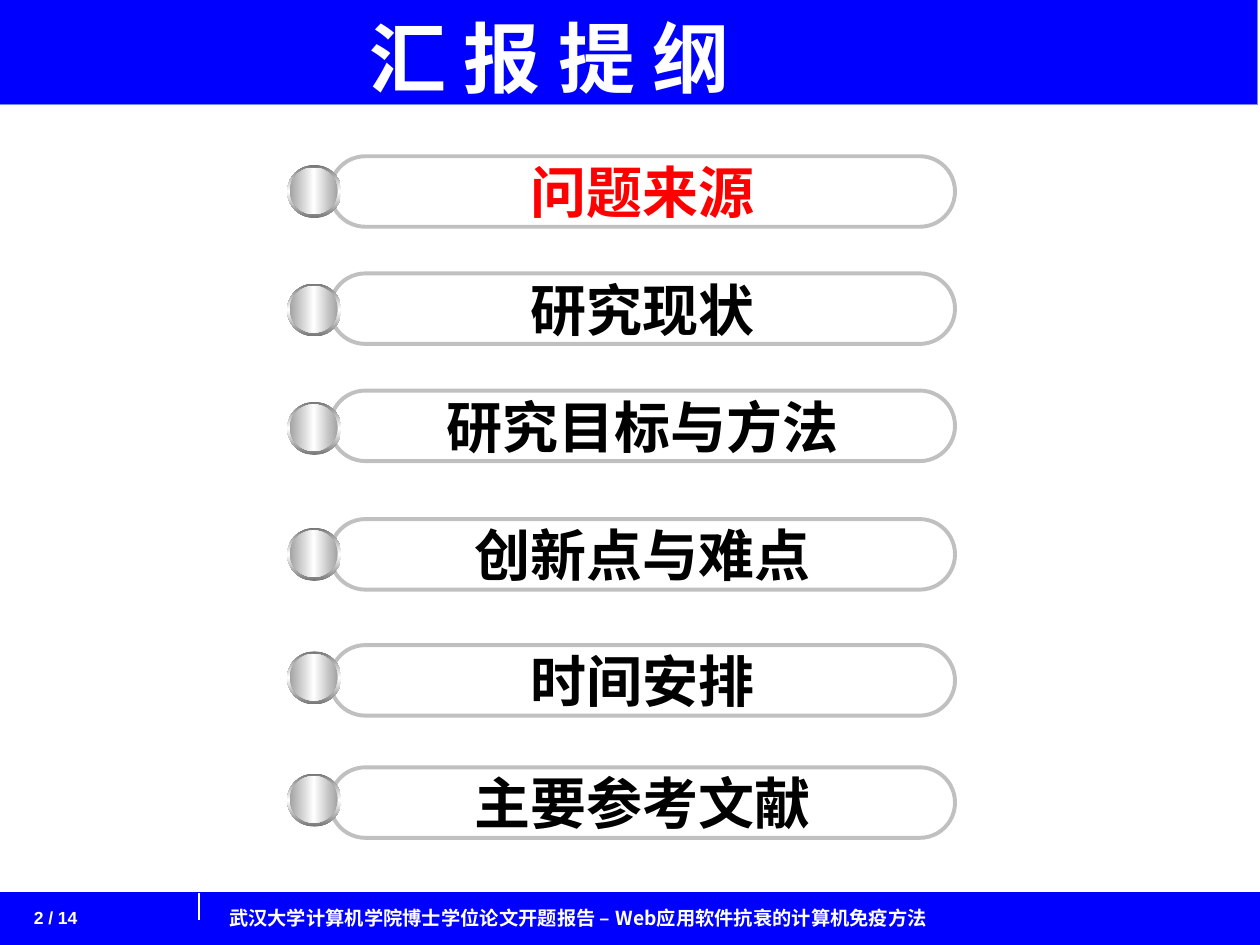
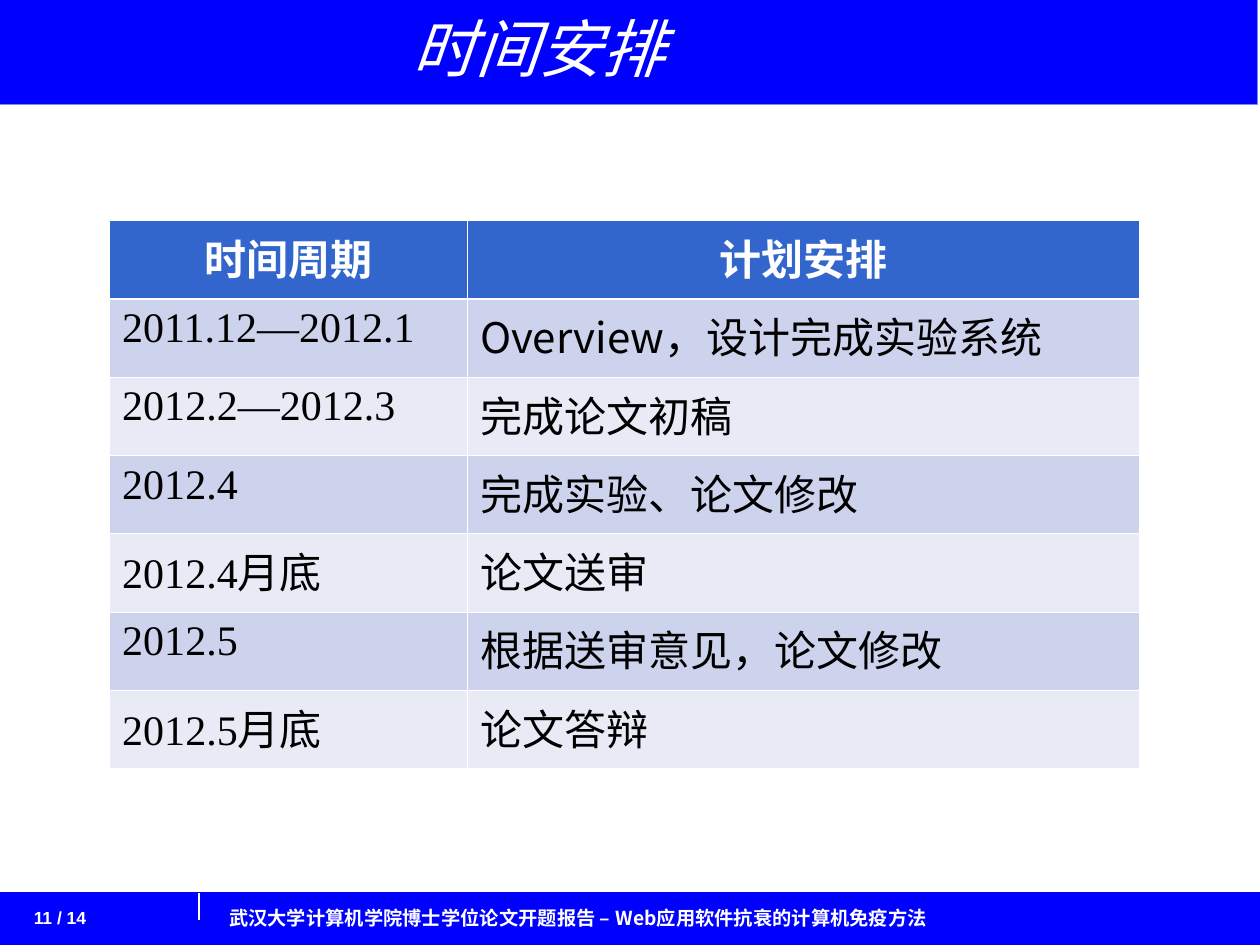
from copy import deepcopy
from dataclasses import dataclass
from typing import NamedTuple

from lxml.etree import SubElement
from pptx import Presentation
from pptx.dml.color import RGBColor
from pptx.enum.shapes import MSO_CONNECTOR, MSO_SHAPE
from pptx.enum.text import MSO_ANCHOR, MSO_AUTO_SIZE, PP_ALIGN
from pptx.oxml.ns import qn
from pptx.util import Inches, Length, Pt


@dataclass(frozen=True)
class Theme:
    band: str = "0000FF"
    band_edge: str = "7889FB"
    white: str = "FFFFFF"
    black: str = "000000"
    current: str = "FF0000"
    pill_edge: str = "C0C0C0"
    ball_rim: str = "767676"
    ball_face: str = "A2A2A2"
    table_head: str = "3366CC"
    table_stripes: tuple[str, str] = ("CDD3EC", "E8EAF6")
    chinese: str = "Noto Sans CJK SC"
    latin: str = "Arial"
    serif: str = "Times New Roman"
    outline_title: int = 44
    table_title: int = 36
    pill_size: int = 32
    table_size: int = 24
    footer_size: int = 11
    page_size: int = 10


class Box(NamedTuple):
    """Left, top, width and height in grid columns and rows."""
    left: float
    top: float
    width: float
    height: float

    def lengths(self) -> list[Length]:
        return [grid(value) for value in self]


class Style(NamedTuple):
    size: int
    color: str
    font: str
    bold: bool = False
    italic: bool = False


class OutlineItem(NamedTuple):
    text: str
    pill_top: float
    ball_top: float


class Period(NamedTuple):
    dates: str
    plan: str


# The slide is a grid of 100 columns and 75 rows
COLUMNS, ROWS = 100, 75
THEME = Theme()
PAGE_COUNT = 14
FOOTER = "武汉大学计算机学院博士学位论文开题报告 – Web应用软件抗衰的计算机免疫方法"

OUTLINE = [
    OutlineItem("问题来源", 12.4, 13.1),
    OutlineItem("研究现状", 21.7, 22.5),
    OutlineItem("研究目标与方法", 31, 31.9),
    OutlineItem("创新点与难点", 41.2, 41.9),
    OutlineItem("时间安排", 51.2, 51.7),
    OutlineItem("主要参考文献", 60.9, 61.4),
]
SCHEDULE = [
    Period("时间周期", "计划安排"),
    Period("2011.12—2012.1", "Overview，设计完成实验系统"),
    Period("2012.2—2012.3", "完成论文初稿"),
    Period("2012.4", "完成实验、论文修改"),
    Period("2012.4月底", "论文送审"),
    Period("2012.5", "根据送审意见，论文修改"),
    Period("2012.5月底", "论文答辩"),
]


def grid(units: float) -> Length:
    return Inches(units / 10)


def rgb(color: str) -> RGBColor:
    return RGBColor.from_string(color)


def write(frame, text: str, style: Style, align: PP_ALIGN = PP_ALIGN.LEFT):
    """Put one formatted paragraph in a text frame."""
    frame.text = text
    paragraph = frame.paragraphs[0]
    paragraph.alignment = align
    font = paragraph.font
    font.size, font.bold, font.italic = Pt(style.size), style.bold, style.italic
    font.name = style.font
    font.color.rgb = rgb(style.color)
    east_asian = SubElement(font._element, qn("a:ea"))
    east_asian.set("typeface", THEME.chinese)
    return paragraph


def add_plain_shape(shapes, kind: MSO_SHAPE, box: Box, fill: str | None = None,
                    edge: str | None = None, edge_width: float = 0.25):
    shape = shapes.add_shape(kind, *box.lengths())
    shape.shadow.inherit = False
    if fill:
        shape.fill.solid()
        shape.fill.fore_color.rgb = rgb(fill)
    else:
        shape.fill.background()
    if edge:
        shape.line.color.rgb = rgb(edge)
        shape.line.width = Pt(edge_width)
    else:
        shape.line.fill.background()
    return shape


def add_text(slide, box: Box, text: str, style: Style):
    text_box = slide.shapes.add_textbox(*box.lengths())
    text_box.text_frame.word_wrap = True
    return write(text_box.text_frame, text, style)


# Bands and footer, shared through the layout
def furnish_layout(slide) -> None:
    shapes = slide.shapes
    first_new = len(shapes)
    add_plain_shape(shapes, MSO_SHAPE.RECTANGLE, Box(0, 70.8, COLUMNS, 4.2),
                    THEME.band, THEME.band)
    add_plain_shape(shapes, MSO_SHAPE.RECTANGLE, Box(-0.2, -0.2, COLUMNS, 8.5),
                    THEME.band, THEME.band_edge)
    add_text(slide, Box(17.2, 71.4, 65, 2.9), FOOTER,
             Style(THEME.footer_size, THEME.white, THEME.chinese, bold=True))
    divider = shapes.add_connector(MSO_CONNECTOR.STRAIGHT, grid(15.8), grid(70.9),
                                   grid(15.8), grid(73))
    divider.line.color.rgb = rgb(THEME.white)
    divider.line.width = Pt(0.75)
    SubElement(divider._element.spPr, qn("a:effectLst"))
    layout_tree = slide.slide_layout.shapes._spTree
    for shape in list(shapes)[first_new:]:
        layout_tree.append(shape._element)


def set_title(slide, text: str, box: Box, style: Style, anchor: MSO_ANCHOR,
              top_margin: float) -> None:
    title = slide.shapes.title
    title.left, title.top, title.width, title.height = box.lengths()
    frame = title.text_frame
    frame.auto_size = MSO_AUTO_SIZE.NONE
    frame.vertical_anchor = anchor
    frame.margin_top = grid(top_margin)
    write(frame, text, style).line_spacing = 0.9


def add_page_number(slide, number: int) -> None:
    paragraph = add_text(slide, Box(1.7, 71.5, 11, 3.5), f"{number} / {PAGE_COUNT}",
                         Style(THEME.page_size, THEME.white, THEME.latin, bold=True))
    paragraph.space_before = Pt(6.2)


# Outline entries
def add_pill(slide, item: OutlineItem, color: str) -> None:
    pill = add_plain_shape(slide.shapes, MSO_SHAPE.ROUNDED_RECTANGLE,
                           Box(26.2, item.pill_top, 49.6, 5.6),
                           edge=THEME.pill_edge, edge_width=2.25)
    pill.adjustments[0] = 0.5
    frame = pill.text_frame
    frame.word_wrap = False
    frame.vertical_anchor = MSO_ANCHOR.MIDDLE
    write(frame, item.text, Style(THEME.pill_size, color, THEME.latin, bold=True),
          PP_ALIGN.CENTER)


def shade_metal(shape, color: str, angle: int) -> None:
    """Fade from the colour to white in the middle and back."""
    shape.fill.gradient()
    shape.fill.gradient_angle = angle
    stops = shape._element.spPr.find(f".//{qn('a:gsLst')}")
    stops.append(deepcopy(stops[-1]))
    for stop, position, tint in zip(shape.fill.gradient_stops, (0, 0.5, 1),
                                    (color, THEME.white, color)):
        stop.position = position
        stop.color.rgb = rgb(tint)


def add_ball(slide, top: float) -> None:
    group = slide.shapes.add_group_shape()
    for box, color, angle in (
        (Box(22.8, top, 4.3, 4.2), THEME.ball_rim, 90),
        (Box(23, top + 0.2, 3.8, 3.7), THEME.ball_face, 0),
    ):
        shade_metal(add_plain_shape(group.shapes, MSO_SHAPE.OVAL, box), color, angle)


def build_outline(slide) -> None:
    set_title(slide, "汇 报 提 纲", Box(28.3, 1.7, 56.7, 5.5),
              Style(THEME.outline_title, THEME.white, THEME.chinese, bold=True),
              MSO_ANCHOR.TOP, 0)
    for index, item in enumerate(OUTLINE):
        add_pill(slide, item, THEME.black if index else THEME.current)
        add_ball(slide, item.ball_top)
    add_page_number(slide, 2)


# Schedule table
def set_borders(cell, top: float, bottom: float) -> None:
    properties = cell._tc.get_or_add_tcPr()
    widths = {"a:lnL": 0.45, "a:lnR": 0.45, "a:lnT": top, "a:lnB": bottom}
    for position, (tag, width) in enumerate(widths.items()):
        line = SubElement(properties, qn(tag), w=str(Pt(width)))
        fill = SubElement(line, qn("a:solidFill"))
        SubElement(fill, qn("a:srgbClr"), val=THEME.white)
        properties.insert(position, line)


def build_schedule(slide) -> None:
    set_title(slide, "时间安排", Box(31.7, 0, 34.2, 8.3),
              Style(THEME.table_title, THEME.white, THEME.chinese, italic=True),
              MSO_ANCHOR.MIDDLE, 0.5)
    box = Box(8.7, 17.5, 81.7, 43.5)
    table = slide.shapes.add_table(len(SCHEDULE), 2, *box.lengths()).table
    for column, width in zip(table.columns, (28.4, 53.3)):
        column.width = grid(width)
    for row, period in enumerate(SCHEDULE):
        head = row == 0
        for column, text in enumerate(period):
            cell = table.cell(row, column)
            cell.fill.solid()
            fill = THEME.table_head if head else THEME.table_stripes[(row - 1) % 2]
            cell.fill.fore_color.rgb = rgb(fill)
            font = THEME.chinese if head or column else THEME.serif
            color = THEME.white if head else THEME.black
            write(cell.text_frame, text, Style(THEME.table_size, color, font, bold=head),
                  PP_ALIGN.CENTER if head else PP_ALIGN.LEFT)
            set_borders(cell, top=1.47 if row == 1 else 0.45, bottom=1.47 if head else 0.45)
    add_page_number(slide, 11)


def main() -> None:
    presentation = Presentation()
    presentation.slide_width, presentation.slide_height = grid(COLUMNS), grid(ROWS)
    title_only = presentation.slide_layouts[5]
    slides = [presentation.slides.add_slide(title_only) for _ in range(2)]
    furnish_layout(slides[0])
    build_outline(slides[0])
    build_schedule(slides[1])
    presentation.save("out.pptx")


if __name__ == "__main__":
    main()
